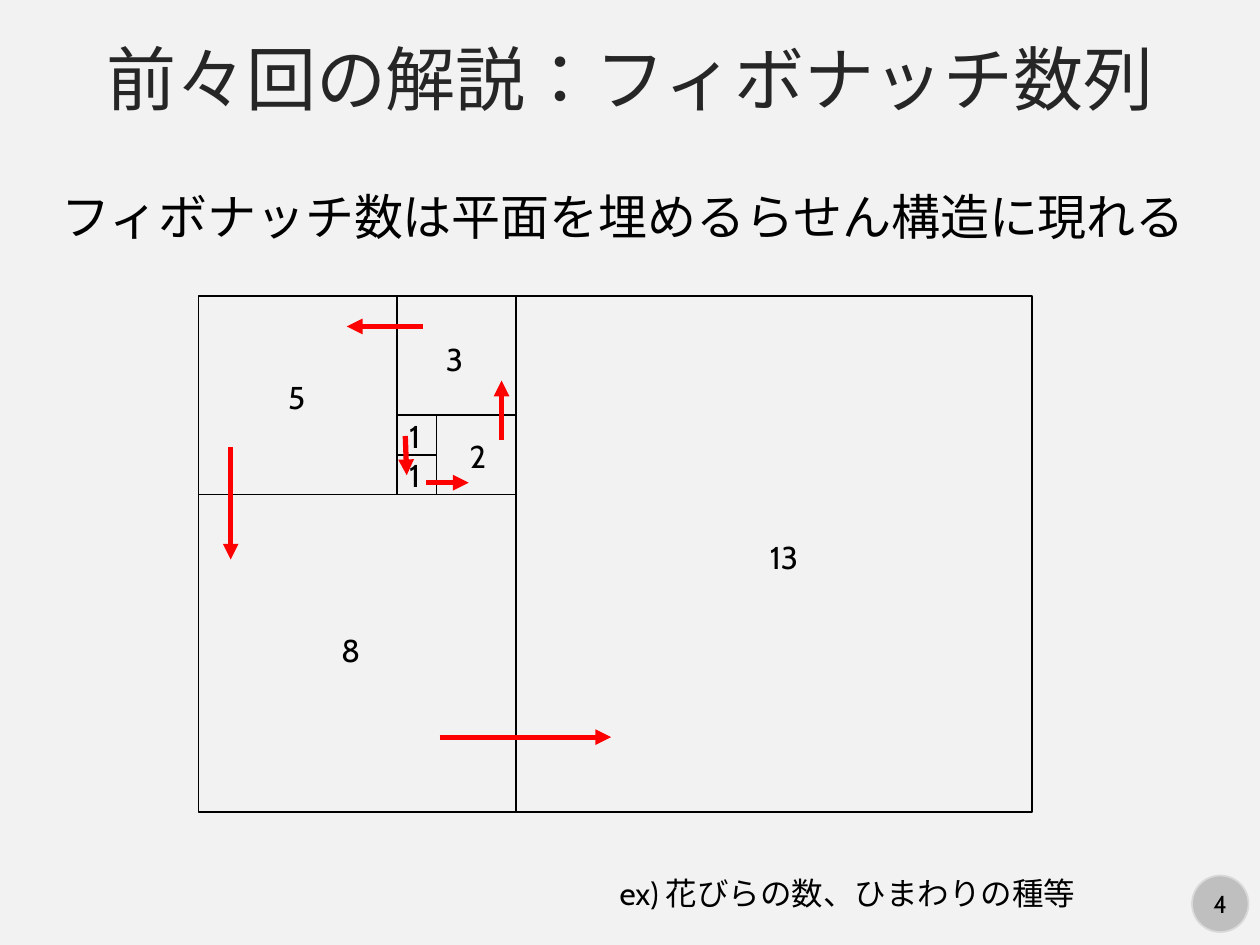
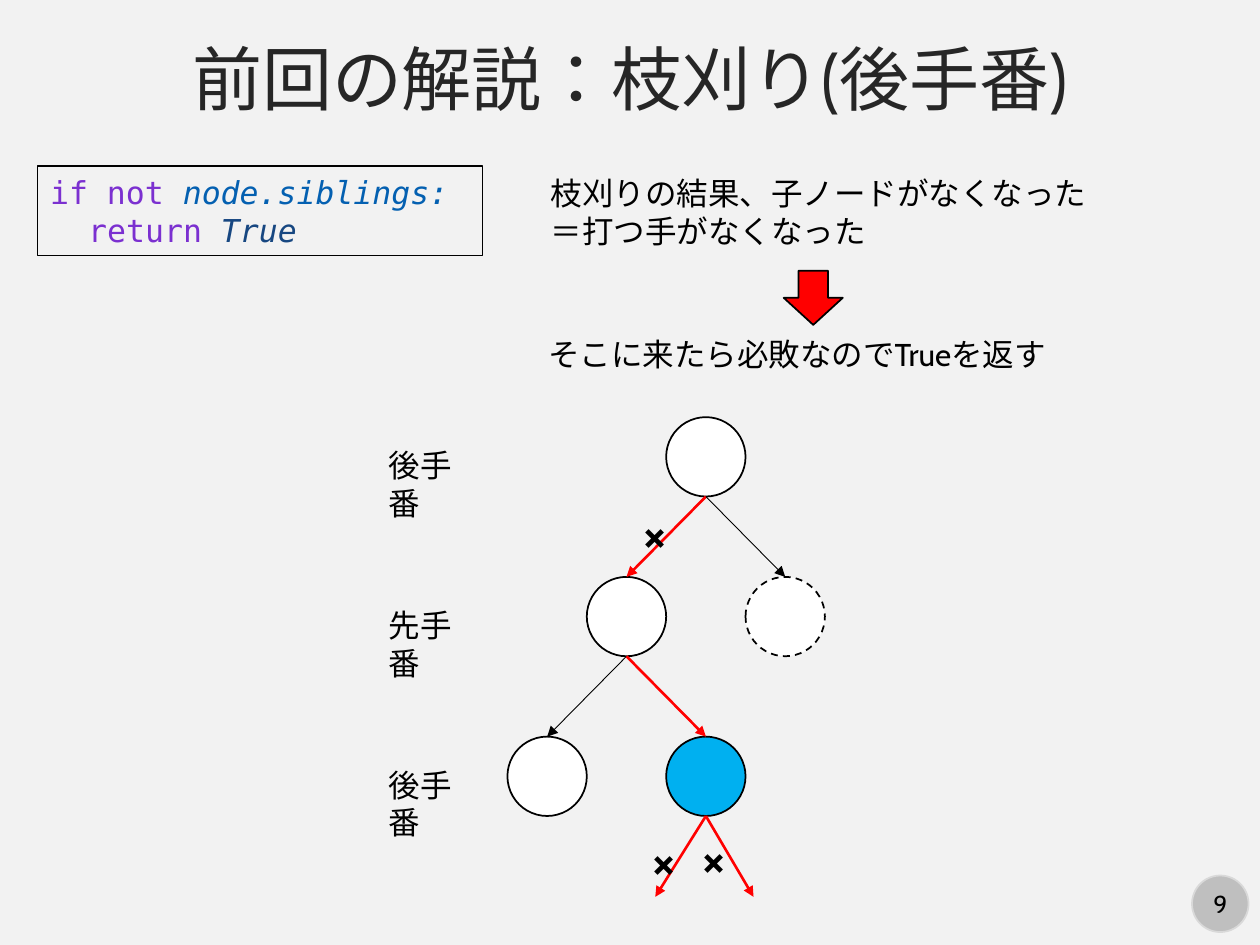
from lxml import etree
from pptx import Presentation
from pptx.dml.color import RGBColor
from pptx.enum.dml import MSO_LINE
from pptx.enum.shapes import MSO_CONNECTOR, MSO_SHAPE
from pptx.enum.text import MSO_ANCHOR, MSO_AUTO_SIZE, PP_ALIGN
from pptx.oxml.ns import qn
from pptx.util import Cm, Pt

STRAIGHT = MSO_CONNECTOR.STRAIGHT
RECTANGLE, ELLIPSE, DOWN_ARROW = MSO_SHAPE.RECTANGLE, MSO_SHAPE.OVAL, MSO_SHAPE.DOWN_ARROW
LEFT, CENTER = PP_ALIGN.LEFT, PP_ALIGN.CENTER
TOP, MIDDLE = MSO_ANCHOR.TOP, MSO_ANCHOR.MIDDLE
DASH, NO_FIT = MSO_LINE.DASH, MSO_AUTO_SIZE.NONE

COLORS = {
    "background": "F2F2F2", "title": "262626", "ink": "000000", "white": "FFFFFF",
    "badge": "BFBFBF", "badge_rim": "D9D9D9", "red": "FF0000", "blue": "00B0F0",
    "keyword": "7B30D0", "name": "0460B1", "constant": "174781",
}
FONT, CODE_FONT = "Cabin", "DejaVu Sans Mono"
TITLE_BOX = (0, 0.53, 25.4, 2.08)
BADGE_BOX = (24.03, 17.65, 1.14, 1.14)

FIBONACCI = {
    "title": "前々回の解説：フィボナッチ数列",
    "page": "4",
    "lead": ("フィボナッチ数は平面を埋めるらせん構造に現れる", (0.99, 3.63, 23.6, 1.45)),
    "example": ("ex) 花びらの数、ひまわりの種等", (12.24, 17.5, 10.1, 1.02)),
}
UNIT = 0.8
SPIRAL_ORIGIN = (4.0, 5.97)
FIRST_CELL = (5, 3)
SPIRAL = [
    (1, "down", (8.0, 8.28)),
    (1, "down", (8.0, 9.07)),
    (2, "right", (9.22, 8.69)),
    (3, "up", (8.74, 6.73)),
    (5, "left", (5.56, 7.49)),
    (8, "down", (6.63, 12.6)),
    (13, "right", (15.27, 10.72)),
]
SPIRAL_ARROWS = [
    ((8.17, 8.79), (8.2, 9.58)),
    ((8.59, 9.73), (9.45, 9.73)),
    ((10.11, 8.86), (10.11, 7.67)),
    ((8.53, 6.58), (6.99, 6.58)),
    ((4.65, 9.02), (4.65, 11.28)),
    ((8.86, 14.86), (12.32, 14.86)),
]

PRUNING = {
    "title": "前回の解説：枝刈り(後手番)",
    "page": "9",
    "reason": ("枝刈りの結果、子ノードがなくなった\n＝打つ手がなくなった", (10.85, 3.38, 11.4, 1.8)),
    "result": ("そこに来たら必敗なのでTrueを返す", (10.8, 6.63, 10.67, 1.02)),
}
CODE = [
    [("if not ", "keyword", False), ("node.siblings:", "name", True)],
    [("return ", "keyword", False), ("True", "constant", True)],
]
CODE_BOX = (0.76, 3.35, 8.97, 1.8)
CODE_INDENT = 0.77
THEREFORE_BOX = (15.8, 5.46, 1.19, 1.09)
TURNS = ["後手番", "先手番", "後手番"]
NODE_SIZE, ROW_STEP = 1.6, 3.22
TREE_CENTER, TREE_TOP = 14.23, 8.41
NODES = {
    "root": (0, 0, "white", None),
    "kept": (-1, 1, "white", None),
    "cut": (1, 1, "white", DASH),
    "reply": (-2, 2, "white", None),
    "lost": (0, 2, "blue", None),
}
EDGES = [
    ("root", "kept", "red", 1.5),
    ("root", "cut", "ink", 0.5),
    ("kept", "reply", "ink", 0.5),
    ("kept", "lost", "red", 1.5),
]
DEAD_ENDS = [(13.21, 18.08), (15.19, 18.08)]
CROSSES = [(12.7, 9.93), (12.88, 16.51), (13.89, 16.48)]


def rgb(color):
    return RGBColor.from_string(COLORS[color])


def write(shape, text, size=18, color="ink", font=FONT, align=LEFT, anchor=TOP,
          bold=False, inset=None):
    frame = shape.text_frame
    frame.word_wrap = True
    frame.auto_size = NO_FIT
    frame.vertical_anchor = anchor
    if inset is not None:
        frame.margin_left = frame.margin_right = Cm(inset)
        frame.margin_top = frame.margin_bottom = Cm(inset)
    lines = text
    if isinstance(text, str):
        lines = [[(line, color, False)] for line in text.split("\n")]
    for number, line in enumerate(lines):
        paragraph = frame.add_paragraph() if number else frame.paragraphs[0]
        paragraph.alignment = align
        for words, ink, italic in line:
            run = paragraph.add_run()
            run.text = words
            run.font.name, run.font.size = font, Pt(size)
            run.font.bold, run.font.italic = bold, italic
            run.font.color.rgb = rgb(ink)
            properties = run.font._element
            properties.set("lang", "ja-JP")
            east_asian = etree.Element(qn("a:ea"), typeface=font)
            properties.find(qn("a:latin")).addnext(east_asian)


def add_text(slide, text, box, **style):
    write(slide.shapes.add_textbox(*map(Cm, box)), text, **style)


def add_figure(slide, kind, box, fill=None, line="ink", width=1, dash=None):
    figure = slide.shapes.add_shape(kind, *map(Cm, box))
    figure.shadow.inherit = False
    if fill:
        figure.fill.solid()
        figure.fill.fore_color.rgb = rgb(fill)
    else:
        figure.fill.background()
    figure.line.color.rgb = rgb(line)
    figure.line.width = Pt(width)
    if dash:
        figure.line.dash_style = dash
    return figure


def add_arrow(slide, start=(0, 0), end=(0, 0), color="red", width=3, parent=None, child=None):
    arrow = slide.shapes.add_connector(STRAIGHT, *map(Cm, start + end))
    if parent:
        arrow.begin_connect(parent, 2)
        arrow._element.nvCxnSpPr.cNvCxnSpPr.stCxn.idx = 4
    if child:
        arrow.end_connect(child, 0)
    arrow.line.color.rgb = rgb(color)
    arrow.line.width = Pt(width)
    etree.SubElement(arrow.line._get_or_add_ln(), qn("a:tailEnd"), type="triangle")
    etree.SubElement(arrow._element.spPr, qn("a:effectLst"))


def add_slide(deck, layout, content):
    slide = deck.slides.add_slide(layout)
    title = slide.shapes.title
    title.left, title.top, title.width, title.height = map(Cm, TITLE_BOX)
    write(title, content["title"], size=40, color="title", align=CENTER, anchor=MIDDLE)
    badge = add_figure(slide, ELLIPSE, BADGE_BOX, fill="badge", line="badge_rim")
    write(badge, content["page"], size=14, align=CENTER, anchor=MIDDLE, inset=0)
    return slide


def spiral_squares():
    left, top = FIRST_CELL
    right, bottom = left, top
    for size, direction, _ in SPIRAL:
        x = {"right": right, "left": left - size}.get(direction, left)
        y = {"down": bottom, "up": top - size}.get(direction, top)
        left, top = min(left, x), min(top, y)
        right, bottom = max(right, x + size), max(bottom, y + size)
        yield x, y, size


def build_fibonacci(deck, layout):
    slide = add_slide(deck, layout, FIBONACCI)
    origin_x, origin_y = SPIRAL_ORIGIN
    for x, y, size in spiral_squares():
        side = size * UNIT
        add_figure(slide, RECTANGLE, (origin_x + x * UNIT, origin_y + y * UNIT, side, side))
    for number, _, corner in SPIRAL:
        add_text(slide, str(number), corner + (1.14 if number > 9 else 0.84, 1.02))
    for start, end in SPIRAL_ARROWS:
        add_arrow(slide, start, end)
    add_text(slide, *FIBONACCI["lead"], size=28)
    add_text(slide, *FIBONACCI["example"])


def build_pruning(deck, layout):
    slide = add_slide(deck, layout, PRUNING)
    code = add_figure(slide, RECTANGLE, CODE_BOX, width=0.75)
    write(code, CODE, font=CODE_FONT, anchor=MIDDLE)
    indented = code.text_frame.paragraphs[1]._p.get_or_add_pPr()
    indented.set("marL", str(Cm(CODE_INDENT)))

    nodes = {}
    for name, (column, row, fill, dash) in NODES.items():
        x = TREE_CENTER + (column - 0.5) * NODE_SIZE
        y = TREE_TOP + row * ROW_STEP
        nodes[name] = add_figure(slide, ELLIPSE, (x, y, NODE_SIZE, NODE_SIZE), fill, dash=dash)
    for parent, child, color, width in EDGES:
        add_arrow(slide, color=color, width=width, parent=nodes[parent], child=nodes[child])
    for end in DEAD_ENDS:
        add_arrow(slide, end=end, width=1.5, parent=nodes["lost"])
    for corner in CROSSES:
        add_text(slide, "×", corner + (1.55, 1.32), size=32, bold=True)
    for row, turn in enumerate(TURNS):
        add_text(slide, turn, (7.59, TREE_TOP + 0.46 + row * ROW_STEP, 1.96, 0.84))

    add_text(slide, *PRUNING["reason"])
    add_text(slide, *PRUNING["result"])
    add_figure(slide, DOWN_ARROW, THEREFORE_BOX, fill="red")


def main():
    deck = Presentation()
    deck.slide_width, deck.slide_height = Cm(25.4), Cm(19.05)
    background = deck.slide_master.background.fill
    background.solid()
    background.fore_color.rgb = rgb("background")
    layout = deck.slide_layouts.get_by_name("Title Only")
    build_fibonacci(deck, layout)
    build_pruning(deck, layout)
    deck.save("out.pptx")


if __name__ == "__main__":
    main()
